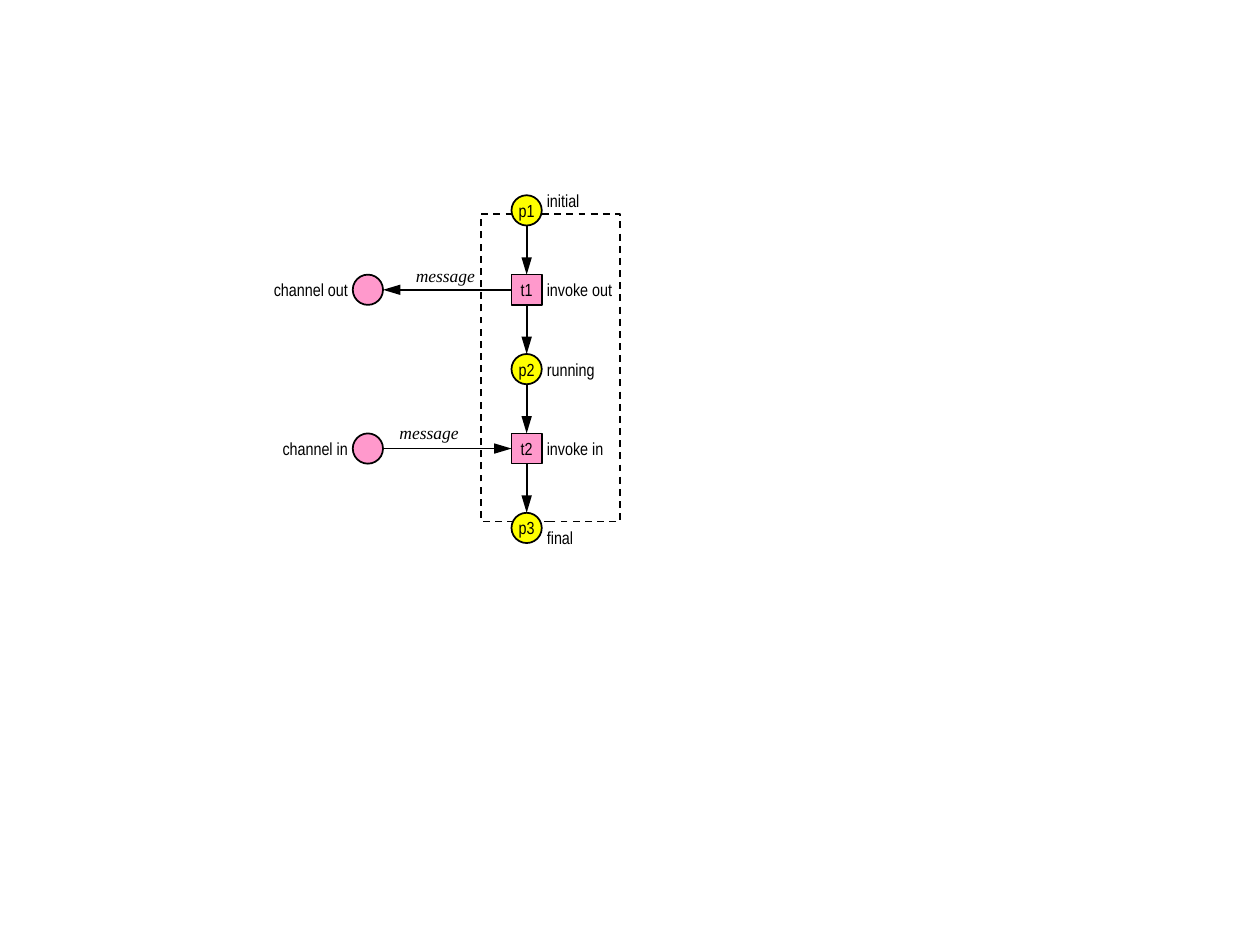
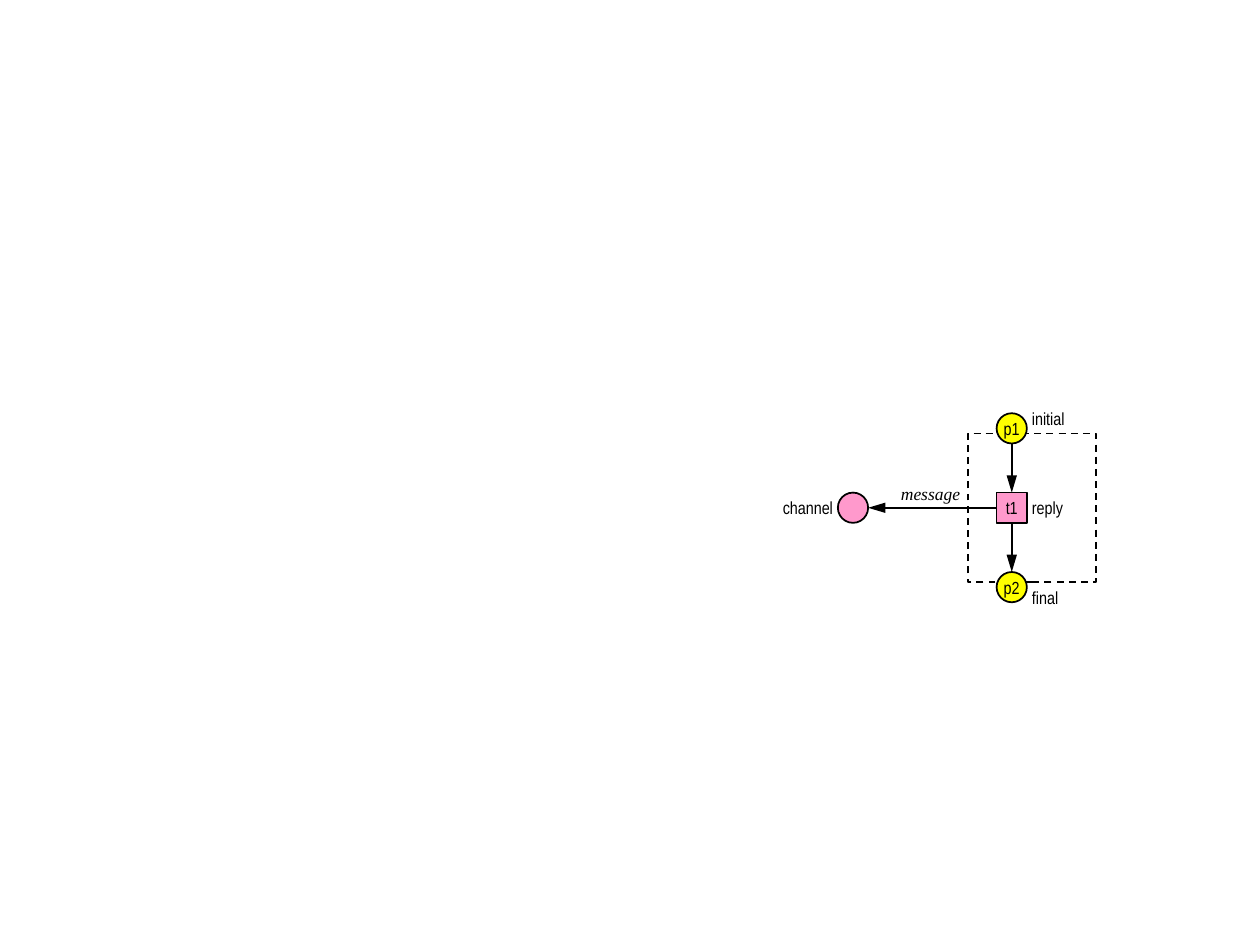
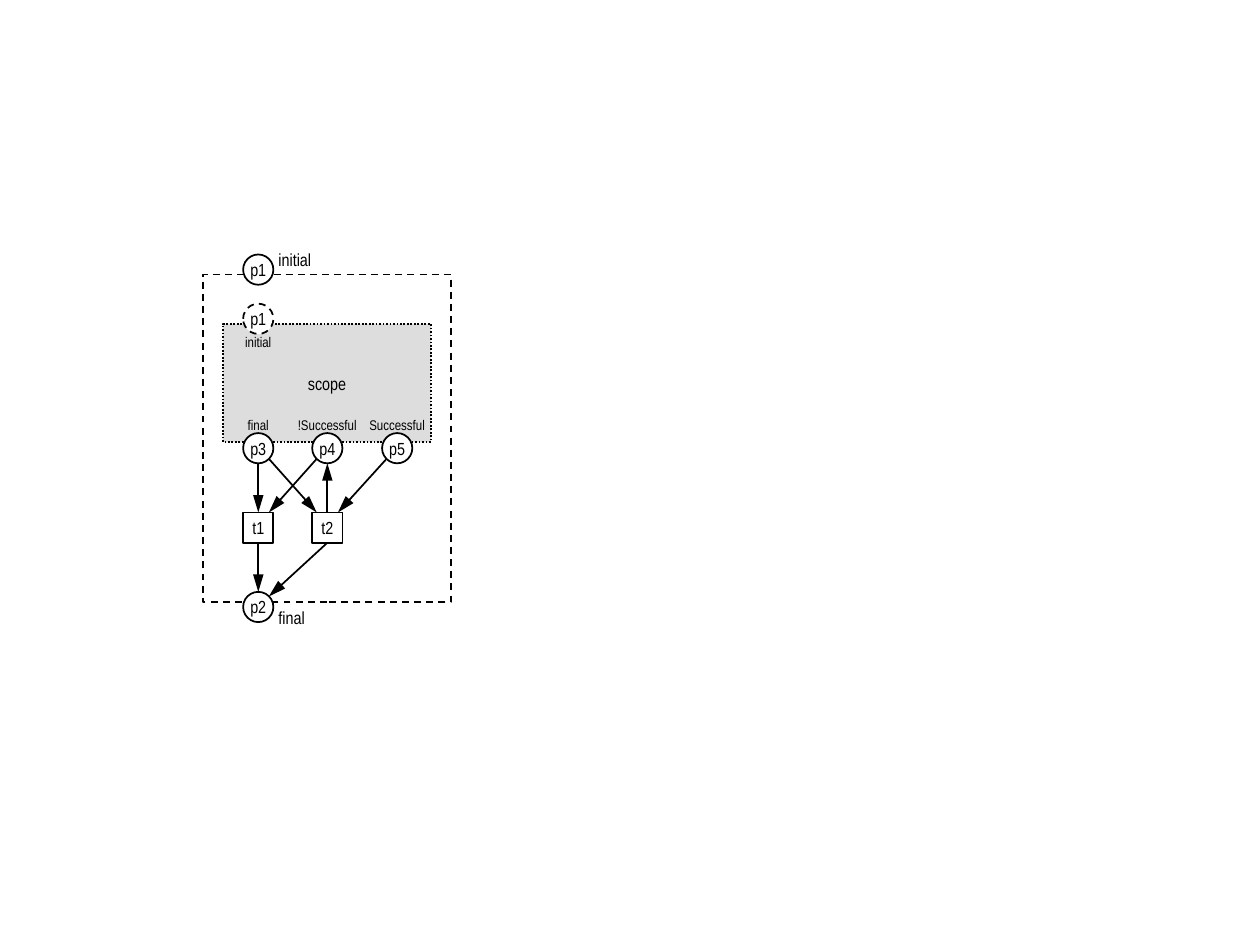
from lxml import etree
from pptx import Presentation
from pptx.dml.color import RGBColor
from pptx.enum.dml import MSO_LINE
from pptx.enum.shapes import MSO_CONNECTOR, MSO_SHAPE
from pptx.enum.text import MSO_ANCHOR, MSO_AUTO_SIZE, PP_ALIGN
from pptx.oxml.ns import qn
from pptx.util import Inches, Pt

RECT, OVAL = MSO_SHAPE.RECTANGLE, MSO_SHAPE.OVAL
STRAIGHT = MSO_CONNECTOR.STRAIGHT
DASH, DOT = MSO_LINE.DASH, MSO_LINE.ROUND_DOT
TOP, MIDDLE, BOTTOM = MSO_ANCHOR.TOP, MSO_ANCHOR.MIDDLE, MSO_ANCHOR.BOTTOM
LEFT, CENTER, RIGHT = PP_ALIGN.LEFT, PP_ALIGN.CENTER, PP_ALIGN.RIGHT
GROW, FIXED = MSO_AUTO_SIZE.SHAPE_TO_FIT_TEXT, MSO_AUTO_SIZE.NONE

COLORS = {"ink": "000000", "place": "FFFF00", "act": "FF99CC",
          "plain": "FFFFFF", "scope": "DDDDDD"}
SANS, SERIF = "Arial Narrow", "Times New Roman"

SIZE = 0.24     # side of every node
PITCH = 0.63    # grid step between nodes
NOTE_W = 0.31   # width of a label beside a node
SHIFT = 0.08    # labels of border nodes move off the border
DIAG = 0.7      # where slanted arrows meet a node, as part of its radius

# frames: box, fill, dash, text
# nodes: key -> shape, fill, column, row, text, dash
# edges: from key, side, to key, side
# notes: key, text, side, shift down
# messages: left, top
SLIDES = [
    {
        "origin": (4.06, 1.55),
        "frames": [((3.82, 1.7, 1.1, 2.44), None, DASH, "")],
        "nodes": {
            "p1": (OVAL, "place", 0, 0, "p1", None),
            "t1": (RECT, "act", 0, 1, "t1", None),
            "p2": (OVAL, "place", 0, 2, "p2", None),
            "t2": (RECT, "act", 0, 3, "t2", None),
            "p3": (OVAL, "place", 0, 4, "p3", None),
            "out": (OVAL, "act", -2, 1, "", None),
            "in": (OVAL, "act", -2, 3, "", None),
        },
        "edges": [("p1", "s", "t1", "n"), ("t1", "s", "p2", "n"),
                  ("p2", "s", "t2", "n"), ("t2", "s", "p3", "n"),
                  ("t1", "w", "out", "e"), ("in", "e", "t2", "w")],
        "notes": [("p1", "initial", "right", -SHIFT),
                  ("t1", "invoke out", "right", 0),
                  ("p2", "running", "right", 0),
                  ("t2", "invoke in", "right", 0),
                  ("p3", "final", "right", SHIFT),
                  ("out", "channel out", "left", 0),
                  ("in", "channel in", "left", 0)],
        "messages": [(3.3, 2.1), (3.17, 3.35)],
    },
    {
        "origin": (7.91, 3.28),
        "frames": [((7.68, 3.44, 1.02, 1.18), None, DASH, "")],
        "nodes": {
            "p1": (OVAL, "place", 0, 0, "p1", None),
            "t1": (RECT, "act", 0, 1, "t1", None),
            "p2": (OVAL, "place", 0, 2, "p2", None),
            "channel": (OVAL, "act", -2, 1, "", None),
        },
        "edges": [("p1", "s", "t1", "n"), ("t1", "s", "p2", "n"),
                  ("t1", "w", "channel", "e")],
        "notes": [("p1", "initial", "right", -SHIFT),
                  ("t1", "reply", "right", 0),
                  ("p2", "final", "right", SHIFT),
                  ("channel", "channel", "left", 0)],
        "messages": [(7.15, 3.83)],
    },
    {
        "origin": (1.93, 2.02),
        "frames": [((1.61, 2.18, 1.97, 2.6), None, DASH, ""),
                   ((1.77, 2.57, 1.65, 0.94), "scope", DOT, "scope")],
        "nodes": {
            "p1": (OVAL, "plain", 0, 0, "p1", None),
            "inner": (OVAL, "plain", 0, 0.62, "p1", DASH),
            "p3": (OVAL, "plain", 0, 2.25, "p3", None),
            "p4": (OVAL, "plain", 0.87, 2.25, "p4", None),
            "p5": (OVAL, "plain", 1.75, 2.25, "p5", None),
            "t1": (RECT, "plain", 0, 3.25, "t1", None),
            "t2": (RECT, "plain", 0.87, 3.25, "t2", None),
            "p2": (OVAL, "plain", 0, 4.25, "p2", None),
        },
        "edges": [("p3", "s", "t1", "n"), ("t2", "n", "p4", "s"),
                  ("p4", "sw", "t1", "ne"), ("p5", "sw", "t2", "ne"),
                  ("p3", "se", "t2", "nw"), ("t1", "s", "p2", "n"),
                  ("t2", "s", "p2", "ne")],
        "notes": [("p1", "initial", "right", -SHIFT),
                  ("p2", "final", "right", SHIFT),
                  ("inner", "initial", "below", 0),
                  ("p3", "final", "above", 0),
                  ("p4", "!Successful", "above", 0),
                  ("p5", "Successful", "above", 0)],
        "messages": [],
    },
]

# side -> x offset, y offset, width, align, anchor, size
SIDES = {
    "right": (SIZE, 0, NOTE_W, LEFT, MIDDLE, 10),
    "left": (-NOTE_W, 0, NOTE_W, RIGHT, MIDDLE, 10),
    "below": (0, SIZE, SIZE, CENTER, TOP, 8),
    "above": (0, -SIZE, SIZE, CENTER, BOTTOM, 8),
}
STEPS = {"n": (0, -1), "s": (0, 1), "w": (-1, 0), "e": (1, 0),
         "nw": (-1, -1), "ne": (1, -1), "sw": (-1, 1), "se": (1, 1)}
SITES = {"n": 0, "w": 1, "s": 2, "e": 3}


def rgb(name):
    return RGBColor.from_string(COLORS[name])


def write(shape, text, align=CENTER, anchor=MIDDLE, size=10, font=SANS,
          pads=(0.1, 0.05), italic=None, fit=FIXED):
    frame = shape.text_frame
    frame.margin_left = frame.margin_right = Inches(pads[0])
    frame.margin_top = frame.margin_bottom = Inches(pads[1])
    frame.word_wrap = False
    frame.auto_size = fit
    frame.vertical_anchor = anchor
    para = frame.paragraphs[0]
    para.text = text
    para.alignment = align
    para.font.name = font
    para.font.size = Pt(size)
    para.font.italic = italic
    para.font.color.rgb = rgb("ink")


def add_box(slide, kind, box, fill, dash, text):
    shape = slide.shapes.add_shape(kind, *map(Inches, box))
    shape.shadow.inherit = False
    if fill:
        shape.fill.solid()
        shape.fill.fore_color.rgb = rgb(fill)
    else:
        shape.fill.background()
    shape.line.color.rgb = rgb("ink")
    shape.line.width = Pt(1)
    if dash:
        shape.line.dash_style = dash
    if text:
        write(shape, text)
    return shape


def add_label(slide, box, text, **style):
    write(slide.shapes.add_textbox(*map(Inches, box)), text, **style)


def port(node, side):
    """Point where an arrow meets the given side of a node."""
    dx, dy = STEPS[side]
    x_part = y_part = 1
    if dx and dy:
        x_part = DIAG
        y_part = DIAG if node.auto_shape_type == OVAL else 1
    half = node.width / 2
    return (int(node.left + half * (1 + dx * x_part)),
            int(node.top + half * (1 + dy * y_part)))


def add_arrow(slide, start, out, end, into):
    arrow = slide.shapes.add_connector(STRAIGHT, *port(start, out),
                                       *port(end, into))
    for node, side, join in ((start, out, arrow.begin_connect),
                             (end, into, arrow.end_connect)):
        if node.auto_shape_type == RECT and side in SITES:
            join(node, SITES[side])
    arrow.line.color.rgb = rgb("ink")
    arrow.line.width = Pt(1)
    etree.SubElement(arrow.line._get_or_add_ln(), qn("a:tailEnd"),
                     type="triangle", w="med", len="lg")
    etree.SubElement(arrow._element.spPr, qn("a:effectLst"))


def draw(slide, net):
    for box, fill, dash, text in net["frames"]:
        add_box(slide, RECT, box, fill, dash, text)

    left, top = net["origin"]
    nodes, spots = {}, {}
    for key, (kind, fill, col, row, text, dash) in net["nodes"].items():
        x, y = spots[key] = left + col * PITCH, top + row * PITCH
        nodes[key] = add_box(slide, kind, (x, y, SIZE, SIZE), fill, dash, text)

    for start, out, end, into in net["edges"]:
        add_arrow(slide, nodes[start], out, nodes[end], into)

    for key, text, side, shift in net["notes"]:
        dx, dy, width, align, anchor, size = SIDES[side]
        x, y = spots[key]
        add_label(slide, (x + dx, y + dy + shift, width, SIZE), text,
                  align=align, anchor=anchor, size=size, pads=(0.04, 0))

    for x, y in net["messages"]:
        add_label(slide, (x, y, 0.47, 0.17), "message", anchor=TOP,
                  font=SERIF, pads=(0, 0), italic=True, fit=GROW)


def main():
    deck = Presentation()
    deck.slide_width, deck.slide_height = Inches(10), Inches(7.5)
    for net in SLIDES:
        draw(deck.slides.add_slide(deck.slide_layouts[6]), net)
    deck.save("out.pptx")


if __name__ == "__main__":
    main()
